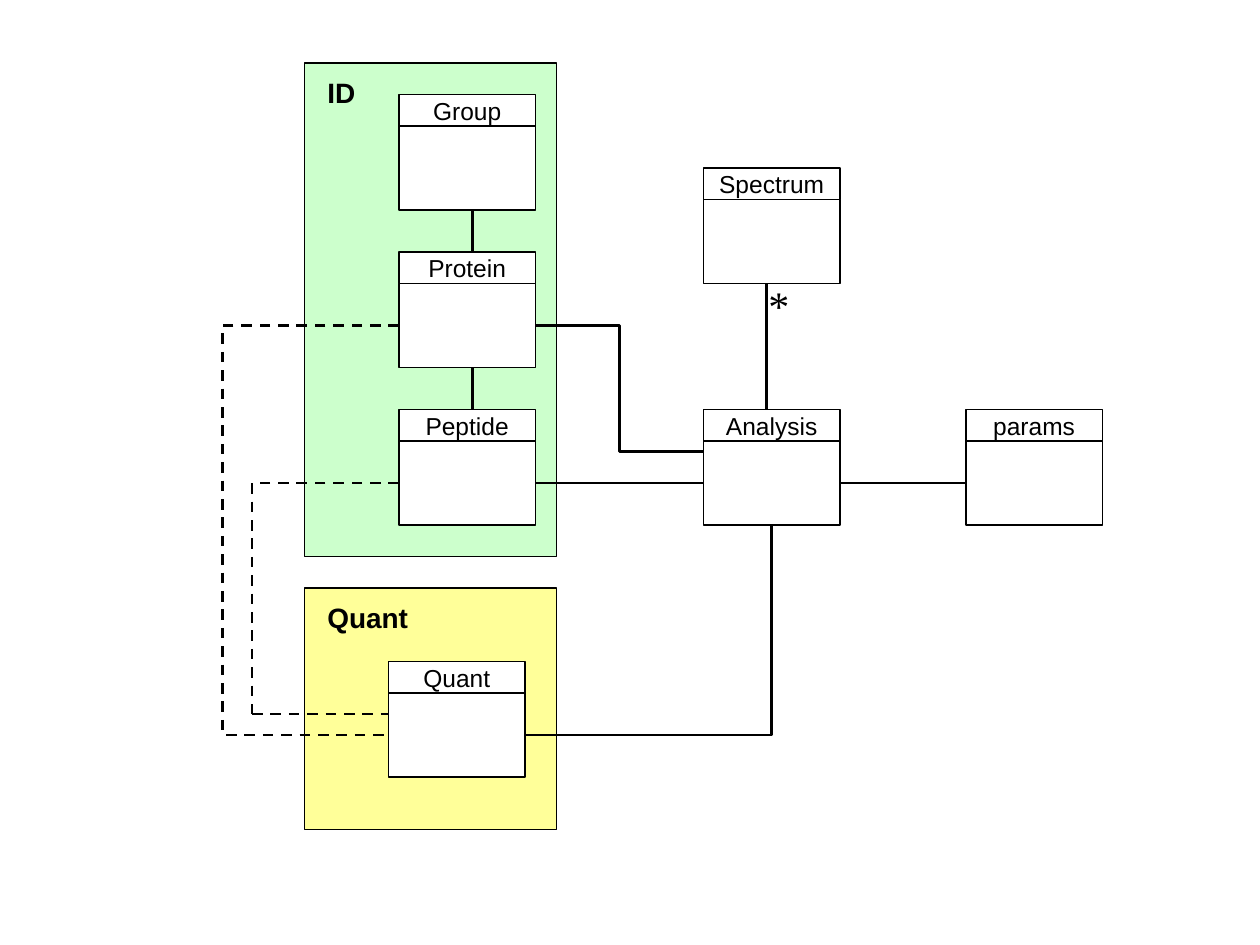
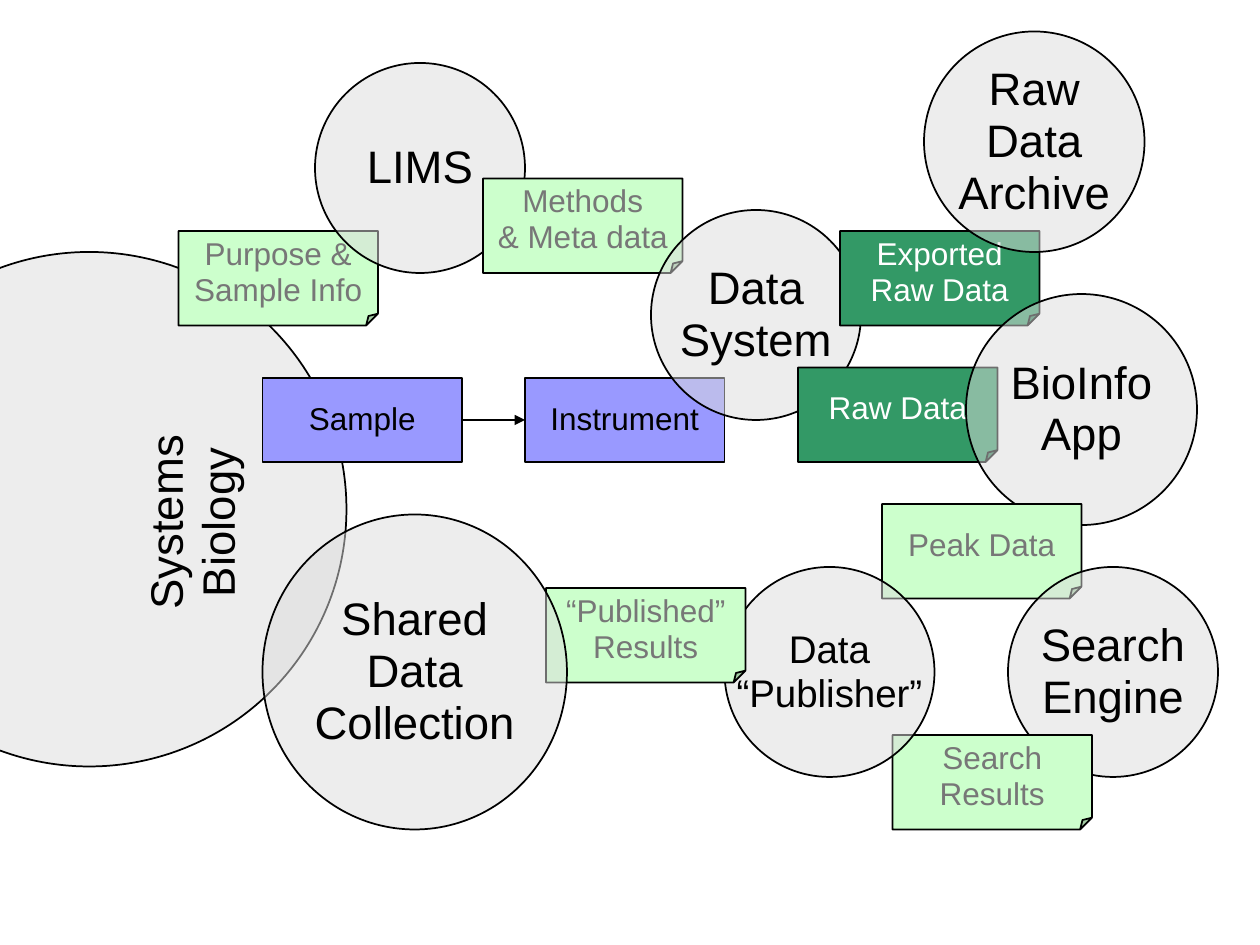
import dataclasses
import pptx
import pptx.dml.color
import pptx.enum.dml
import pptx.enum.shapes
import pptx.enum.text
import pptx.oxml.ns
import pptx.util
from lxml import etree

SHAPE = pptx.enum.shapes.MSO_SHAPE
LINK = pptx.enum.shapes.MSO_CONNECTOR
ALIGN = pptx.enum.text.PP_ALIGN
ANCHOR = pptx.enum.text.MSO_ANCHOR
qn = pptx.oxml.ns.qn


@dataclasses.dataclass(frozen=True)
class Theme:
    sans: str = "Arial"
    serif: str = "Times New Roman"
    black: str = "000000"
    white: str = "FFFFFF"
    mint: str = "CCFFCC"
    yellow: str = "FFFF99"
    violet: str = "9999FF"
    green: str = "339966"
    circle: str = "DDDDDD"
    muted: str = "777777"
    circle_opacity: int = 50
    class_size: int = 14
    panel_size: int = 16
    star_size: int = 24
    note_size: int = 18
    small_circle_size: int = 22
    circle_size: int = 26
    hairline: float = 0.75
    outline: float = 1
    link: float = 1.5
    leading: float = 0.95


THEME = Theme()


# Shared helpers; both slides sit on a grid of twelve steps to the inch
def grid(*steps):
    return [pptx.util.Cm(step * 2.54 / 12) for step in steps]


def rgb(value):
    return pptx.dml.color.RGBColor.from_string(value)


def apply(target, formats):
    for name, value in formats.items():
        setattr(target, name, value)


def set_guide(part, name, share):
    guides = part._element.spPr.find(qn("a:prstGeom")).find(qn("a:avLst"))
    etree.SubElement(guides, qn("a:gd"), name=name, fmla=f"val {share * 100000:.0f}")


def write(part, text, size, color=THEME.black, font=THEME.sans, bold=False,
          align=ALIGN.CENTER, frame_format=None, leading=None):
    frame = part.text_frame
    frame.text = text
    apply(frame, {"word_wrap": False, "vertical_anchor": ANCHOR.MIDDLE,
                  **(frame_format or {})})
    for paragraph in frame.paragraphs:
        apply(paragraph, {"alignment": align, "line_spacing": leading})
        apply(paragraph.font, {"name": font, "size": pptx.util.Pt(size), "bold": bold})
        paragraph.font.color.rgb = rgb(color)


def shape(slide, kind, box, fill, width, opacity=None):
    part = slide.shapes.add_shape(kind, *grid(*box))
    part.shadow.inherit = False
    part.fill.solid()
    part.fill.fore_color.rgb = rgb(fill)
    part.line.color.rgb = rgb(THEME.black)
    part.line.width = pptx.util.Pt(width)
    if opacity is not None:
        color = part._element.spPr.find(qn("a:solidFill")).find(qn("a:srgbClr"))
        etree.SubElement(color, qn("a:alpha"), val=str(opacity * 1000))
    return part


def label(slide, box, text, size, **style):
    part = slide.shapes.add_textbox(*grid(*box))
    write(part, text, size, **style)
    part.text_frame.auto_size = pptx.enum.text.MSO_AUTO_SIZE.SHAPE_TO_FIT_TEXT
    return part


def connect(slide, start, end, width=THEME.link, dashed=False, bend=None,
            corner=False, arrow=False):
    """Straight by default; bend is the turning point as a share of the width."""
    kind = LINK.ELBOW if corner or bend is not None else LINK.STRAIGHT
    link = slide.shapes.add_connector(kind, *grid(*start, *end))
    link.line.color.rgb = rgb(THEME.black)
    link.line.width = pptx.util.Pt(width)
    if dashed:
        link.line.dash_style = pptx.enum.dml.MSO_LINE.DASH
    properties = link._element.spPr
    if corner:
        properties.find(qn("a:prstGeom")).set("prst", "bentConnector2")
    elif bend is not None:
        set_guide(link, "adj1", bend)
    if arrow:
        etree.SubElement(properties.find(qn("a:ln")), qn("a:tailEnd"), type="triangle")
    etree.SubElement(properties, qn("a:effectLst"))


# Slide 1: class diagram
def panel(slide, box, title, title_width, fill):
    left, top = box[:2]
    shape(slide, SHAPE.RECTANGLE, box, fill, THEME.hairline)
    return (left + 1, top + 0.6, title_width, 4.44), title


def class_box(slide, left, top, name):
    width, head, body = 13, 3, 8
    shape(slide, SHAPE.RECTANGLE, (left, top + head, width, body),
          THEME.white, THEME.hairline)
    heading = shape(slide, SHAPE.RECTANGLE, (left, top, width, head),
                    THEME.white, THEME.hairline)
    write(heading, name, THEME.class_size)


def class_diagram(slide):
    titles = [
        panel(slide, (29, 56, 24, 23), "Quant", 10.08, THEME.yellow),
        panel(slide, (29, 6, 24, 47), "ID", 5.04, THEME.mint),
    ]
    for row, name in enumerate(("Group", "Protein", "Peptide")):
        class_box(slide, 38, 9 + 15 * row, name)
    for left, top, name in ((67, 39, "Analysis"), (92, 39, "params"),
                            (67, 16, "Spectrum"), (37, 63, "Quant")):
        class_box(slide, left, top, name)
    top_left = {"align": ALIGN.LEFT, "frame_format": {"vertical_anchor": ANCHOR.TOP}}
    for box, title in titles:
        label(slide, box, title, THEME.panel_size, bold=True, **top_left)
    label(slide, (72, 26, 4.32, 6), "*", THEME.star_size, font=THEME.serif, **top_left)

    # Solid associations
    for top in (20, 35):
        connect(slide, (45, top), (45, top + 4))
    connect(slide, (51, 31), (67, 43), bend=0.5)
    connect(slide, (51, 46), (67, 46))
    connect(slide, (73, 27), (73, 39))
    connect(slide, (50, 70), (73.5, 50), corner=True)
    connect(slide, (80, 46), (92, 46))

    # Dashed links from the identified items to Quant
    connect(slide, (38, 31), (37, 70), dashed=True, bend=16.75)
    connect(slide, (38, 46), (24, 68), dashed=True, corner=True)
    connect(slide, (24, 68), (37, 68), dashed=True)


# Slide 2: data flow between systems
FLUSH = {f"margin_{side}": 0 for side in ("left", "right", "top", "bottom")}
FLOW_TEXT = {"frame_format": FLUSH, "leading": THEME.leading}


def system(slide, left, top, width, text="", height=None, size=THEME.circle_size):
    circle = shape(slide, SHAPE.OVAL, (left, top, width, height or width),
                   THEME.circle, THEME.outline, THEME.circle_opacity)
    if text:
        write(circle, text, size, **FLOW_TEXT)


def note(slide, left, top, text, fill=THEME.mint, color=THEME.muted):
    page = shape(slide, SHAPE.FOLDED_CORNER, (left, top, 19, 9), fill, THEME.outline)
    set_guide(page, "adj", 0.125)
    write(page, text, THEME.note_size, color, **FLOW_TEXT)


def raw_note(slide, left, top, text):
    note(slide, left, top, text, THEME.green, THEME.white)


def step(slide, left, top, text):
    block = shape(slide, SHAPE.RECTANGLE, (left, top, 19, 8), THEME.violet, THEME.outline)
    write(block, text, THEME.note_size, **FLOW_TEXT)


def data_flow(slide):
    # Order matters: see-through circles cover what lies behind them
    system(slide, -16, 24, 49)
    note(slide, 17, 22, "Purpose &\nSample Info")
    system(slide, 30, 6, 20, "LIMS")
    step(slide, 50, 36, "Instrument")
    note(slide, 46, 17, "Methods\n& Meta data")
    system(slide, 62, 20, 20, "Data\nSystem")
    raw_note(slide, 76, 35, "Raw Data")
    connect(slide, (44, 40), (50, 40), THEME.outline, arrow=True)
    step(slide, 25, 36, "Sample")
    biology = label(slide, (2.4, 47.28, 32.04, 4.92), "Systems Biology",
                    THEME.circle_size, **FLOW_TEXT)
    biology.rotation = 270
    raw_note(slide, 80, 22, "Exported\nRaw Data")
    system(slide, 88, 3, 21, "Raw\nData\nArchive")
    system(slide, 92, 28, 22, "BioInfo\nApp")
    note(slide, 84, 48, "Peak Data")
    system(slide, 96, 54, 20, "Search\nEngine")
    note(slide, 85, 70, "Search\nResults")
    system(slide, 69, 54, 20, "Data\n“Publisher”", size=THEME.small_circle_size)
    note(slide, 52, 56, "“Published”\nResults")
    system(slide, 25, 49, 29, "Shared\nData\nCollection", height=30)


deck = pptx.Presentation()
apply(deck, {"slide_width": pptx.util.Cm(25.4), "slide_height": pptx.util.Cm(19.05)})
for build in (class_diagram, data_flow):
    build(deck.slides.add_slide(deck.slide_layouts[6]))
deck.save("out.pptx")
